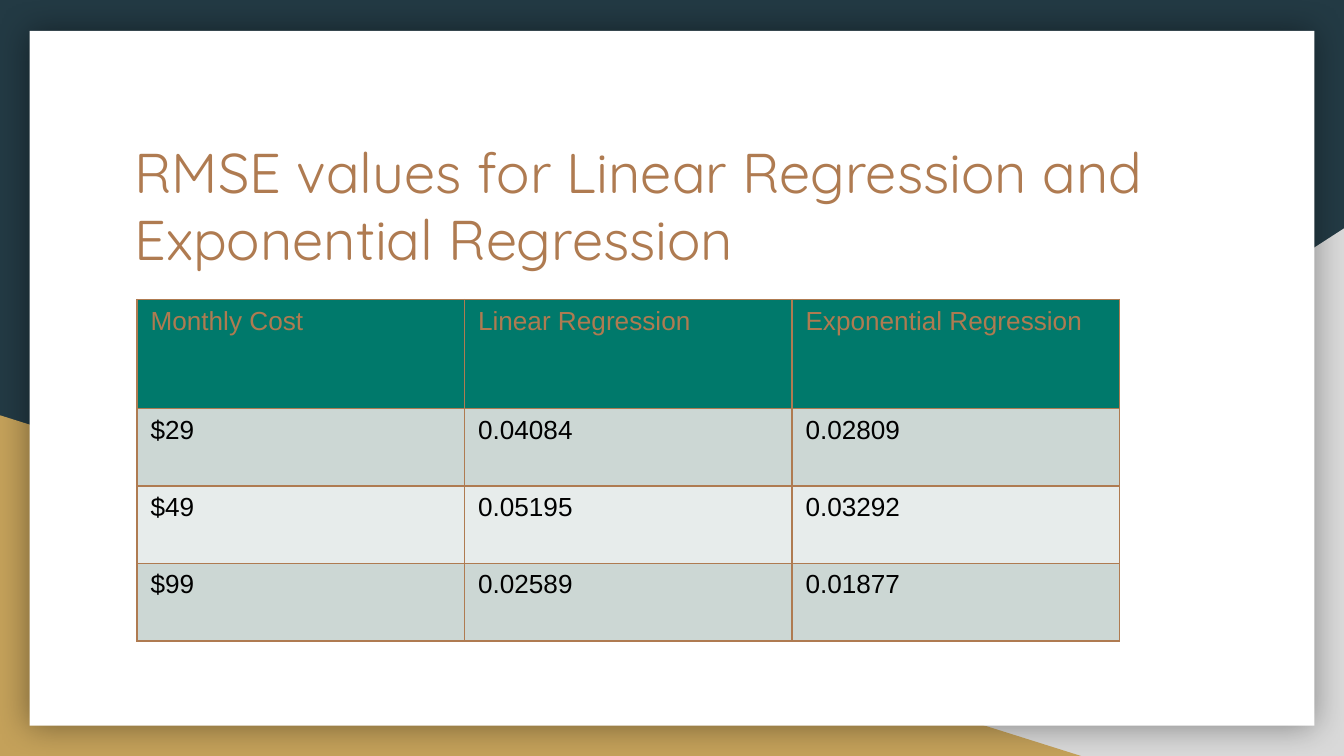
from dataclasses import dataclass

from lxml.etree import SubElement
from pptx import Presentation
from pptx.dml.color import RGBColor
from pptx.enum.shapes import MSO_SHAPE as Shape
from pptx.enum.text import MSO_ANCHOR as Anchor, MSO_AUTO_SIZE as AutoSize, PP_ALIGN as Align
from pptx.oxml import parse_xml
from pptx.oxml.ns import nsdecls, qn
from pptx.util import Inches, Pt

NAVY = RGBColor(0x23, 0x3A, 0x44)
GRAY = RGBColor(0xD9, 0xD9, 0xD9)
GOLD = RGBColor(0xC4, 0xA1, 0x5A)
WHITE = RGBColor(0xFF, 0xFF, 0xFF)
BLACK = RGBColor(0x00, 0x00, 0x00)
COPPER = RGBColor(0xAF, 0x7B, 0x51)
GREEN = RGBColor(0x00, 0x79, 0x6B)
BANDS = (RGBColor(0xCC, 0xD7, 0xD4), RGBColor(0xE7, 0xEC, 0xEB))

SLIDE_WIDTH = Inches(10)
SLIDE_HEIGHT = SLIDE_WIDTH * 9 // 16

TABLE_HEIGHT = 2.54
HEADER_HEIGHT = 0.81
RMSE_ROWS = (
    ("Monthly Cost", "Linear Regression", "Exponential Regression"),
    ("$29", "0.04084", "0.02809"),
    ("$49", "0.05195", "0.03292"),
    ("$99", "0.02589", "0.01877"),
)


@dataclass(frozen=True)
class Panel:
    kind: Shape
    left: float
    top: float
    width: float
    height: float
    color: RGBColor
    flipped: bool = False
    glow: bool = False


PANELS = (
    Panel(Shape.RIGHT_TRIANGLE, 3.92, 1.7, 6.08, 3.93, GRAY, flipped=True),
    Panel(Shape.RIGHT_TRIANGLE, 0, 3.09, 8.06, 2.54, GOLD),
    Panel(Shape.RECTANGLE, 0.22, 0.23, 9.56, 5.17, WHITE, glow=True),
)


def apply(target, values: dict) -> None:
    for name, value in values.items():
        setattr(target, name, value)


def format_font(paragraph, name: str, size: float, color: RGBColor) -> None:
    font = paragraph.runs[0].font
    apply(font, {"name": name, "size": Pt(size), "bold": False})
    font.color.rgb = color


def draw_panel(slide, panel: Panel) -> None:
    box = map(Inches, (panel.left, panel.top, panel.width, panel.height))
    shape = slide.shapes.add_shape(panel.kind, *box)
    shape.fill.solid()
    shape.fill.fore_color.rgb = panel.color
    shape.line.fill.background()
    shape.shadow.inherit = False
    properties = shape.element.spPr
    if panel.flipped:
        properties.find(qn("a:xfrm")).set("flipH", "1")
    if panel.glow:
        effects = properties.find(qn("a:effectLst"))
        shadow = SubElement(effects, qn("a:outerShdw"), blurRad=str(Pt(18)),
                            dist="0", dir="0", algn="ctr", rotWithShape="0")
        tint = SubElement(shadow, qn("a:srgbClr"), val=str(BLACK))
        SubElement(tint, qn("a:alpha"), val="40000")


def draw_title(slide, text: str) -> None:
    title = slide.shapes.title
    apply(title, {"left": Inches(0.9), "top": Inches(0.92),
                  "width": Inches(8.21), "height": Inches(1.04)})
    frame = title.text_frame
    frame.text = text
    margins = {f"margin_{side}": Inches(0.1) for side in ("left", "top", "right", "bottom")}
    apply(frame, {"word_wrap": True, "auto_size": AutoSize.NONE,
                  "vertical_anchor": Anchor.TOP, **margins})
    heading = frame.paragraphs[0]
    heading.alignment = Align.LEFT
    format_font(heading, "Quicksand", 30, COPPER)
    # Bring the title in front of the panels
    title.element.getparent().append(title.element)


def format_cell(cell, text: str, fill: RGBColor, color: RGBColor) -> None:
    cell.text = text
    format_font(cell.text_frame.paragraphs[0], "Arial", 14, color)
    properties = cell._tc.get_or_add_tcPr()
    for side in "LRTB":
        properties.append(parse_xml(
            f'<a:ln{side} {nsdecls("a")} w="{Pt(1)}"><a:solidFill>'
            f'<a:srgbClr val="{COPPER}"/></a:solidFill></a:ln{side}>'))
    cell.fill.solid()
    cell.fill.fore_color.rgb = fill


def draw_rmse_table(slide) -> None:
    box = map(Inches, (1.02, 2.23, 7.31, TABLE_HEIGHT))
    table = slide.shapes.add_table(len(RMSE_ROWS), len(RMSE_ROWS[0]), *box).table
    apply(table, {"first_row": False, "horz_banding": False})
    body_height = (TABLE_HEIGHT - HEADER_HEIGHT) / (len(RMSE_ROWS) - 1)
    for i, values in enumerate(RMSE_ROWS):
        header = i == 0
        table.rows[i].height = Inches(HEADER_HEIGHT if header else body_height)
        fill = GREEN if header else BANDS[(i - 1) % 2]
        for j, value in enumerate(values):
            format_cell(table.cell(i, j), value, fill, COPPER if header else BLACK)


def main() -> None:
    deck = Presentation()
    apply(deck, {"slide_width": SLIDE_WIDTH, "slide_height": SLIDE_HEIGHT})
    slide = deck.slides.add_slide(deck.slide_layouts.get_by_name("Title Only"))

    # Backdrop
    slide.background.fill.solid()
    slide.background.fill.fore_color.rgb = NAVY
    for panel in PANELS:
        draw_panel(slide, panel)

    # Content
    draw_title(slide, "RMSE values for Linear Regression and Exponential Regression")
    draw_rmse_table(slide)
    deck.save("out.pptx")


if __name__ == "__main__":
    main()
